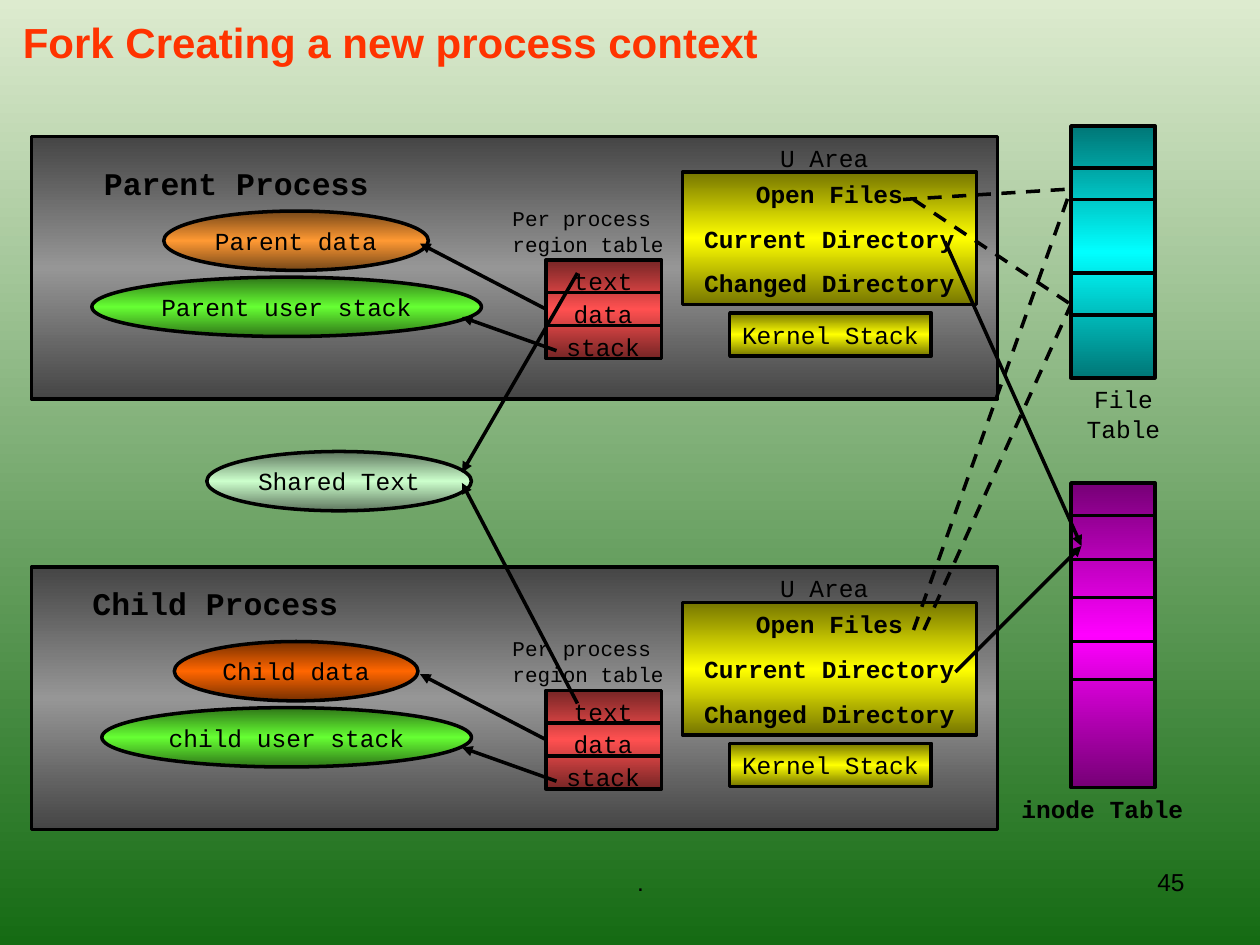
"""Build the slide on how fork creates a new process context."""
from copy import deepcopy

from pptx import Presentation
from pptx.dml.color import RGBColor as RGB
from pptx.enum.dml import MSO_LINE as DASH
from pptx.enum.shapes import MSO_CONNECTOR as CONN, MSO_SHAPE as SHAPE
from pptx.enum.text import MSO_ANCHOR as ANCHOR, PP_ALIGN as ALIGN
from pptx.oxml.ns import qn
from pptx.oxml.xmlchemy import OxmlElement
from pptx.util import Inches, Pt

COLORS = {
    "black": "000000", "title": "FF3300", "sky": "DDEBCF", "grass": "156B13",
    "panel": "969696", "region": "FF5050", "shared": "CCFFCC", "stack": "66FF33",
    "parent": "FF9933", "child": "FF6600", "yellow": "FFFF00",
    "files": "00FFFF", "inodes": "FF00FF",
}
RGBS = {name: RGB.from_string(value) for name, value in COLORS.items()}
CODE = {"name": "Courier New", "size": Pt(14), "bold": False}
BOLD = {**CODE, "bold": True}
SMALL = {**CODE, "size": Pt(12)}
HEAD = {**BOLD, "size": Pt(18)}
FOOT = {**CODE, "name": "Arial"}
TITLE = {"name": "Arial", "size": Pt(24), "bold": True}
SHADE = 0.463
ROW = 4.1

prs = Presentation()
prs.slide_width, prs.slide_height = Inches(10), Inches(7.5)
s = prs.slides.add_slide(prs.slide_layouts[6])
CELL = prs.slide_width / 120


def box(place, lines=(), fill=None, kind=SHAPE.RECTANGLE, font=CODE, color="black",
        align=ALIGN.CENTER, anchor=None, wrap=True, spacing=None):
    x, y, w, h = [round(v * CELL) for v in place]
    if fill:
        sp = s.shapes.add_shape(kind, x, y, w, h)
        sp.shadow.inherit = False
        sp.fill.gradient()
        sp.fill.gradient_angle = 270
        stops = sp._element.spPr.find(".//" + qn("a:gsLst"))
        stops.insert(1, deepcopy(stops[0]))
        mid = RGBS[fill]
        dark = RGB(*[round(c * SHADE) for c in mid])
        for stop, pos, rgb in zip(sp.fill.gradient_stops, (0, 0.5, 1), (dark, mid, dark)):
            stop.position, stop.color.rgb = pos, rgb
        sp.line.color.rgb, sp.line.width = RGBS["black"], Pt(2)
        anchor = ANCHOR.MIDDLE
    else:
        sp = s.shapes.add_textbox(x, y, w, h)
    tf = sp.text_frame
    tf.word_wrap = wrap
    if anchor is not None:
        tf.vertical_anchor = anchor
    for i, text in enumerate(lines):
        p = tf.add_paragraph() if i else tf.paragraphs[0]
        p.alignment = align
        if i:
            p.space_before = font["size"] * 5 // 8
        if spacing:
            p.line_spacing = spacing
        r = p.add_run()
        r.text = text
        r.font.color.rgb = RGBS[color]
        for key, value in font.items():
            setattr(r.font, key, value)
    return sp


def line(x1, y1, x2, y2, arrow=False, dash=False):
    c = s.shapes.add_connector(CONN.STRAIGHT, *[round(v * CELL) for v in (x1, y1, x2, y2)])
    c.line.color.rgb, c.line.width = RGBS["black"], Pt(2)
    if dash:
        c.line.dash_style = DASH.DASH
    if arrow:
        end = OxmlElement("a:tailEnd")
        end.set("type", "triangle")
        c.line._get_or_add_ln().append(end)
    c._element.spPr.append(OxmlElement("a:effectLst"))
    return c


bg = s.background.fill
bg.gradient()
bg.gradient_angle = 270
for stop, name in zip(bg.gradient_stops, ("sky", "grass")):
    stop.color.rgb = RGBS[name]

box((42, 82, 38, 6.2), ["."], font=FOOT)
box((86, 82, 28, 6.2), ["45"], font=FOOT, align=ALIGN.RIGHT)
box((1, -3, 102, 14), ["Fork Creating a new process context"], font=TITLE,
    color="title", align=ALIGN.LEFT, anchor=ANCHOR.MIDDLE)
box((19.7, 43, 25.2, 5.65), ["Shared Text"], "shared", SHAPE.OVAL, wrap=False)

processes = [
    (0, "parent", "Parent data", 25.2, "Parent user stack", 37.1),
    (41, "child", "Child data", 23.2, "child user stack", 35.2),
]
for top, color, data, data_w, stack, stack_w in processes:
    box((3, top + 13, 92, 25), fill="panel")
    region_y, step = top + 24.75, 3.13
    region = box((52, region_y, 11, 3 * step), fill="region")
    for i in range(4):
        line(52, region_y + i * step, 63, region_y + i * step)
    for i, label in enumerate(("text", "data", "stack")):
        box((52.5, region_y + i * step, 9.9, ROW), [label])
    box((37, top + 20, 38, 4.9), ["Per process ", "region table"], font=SMALL, spacing=0.5)
    for label, mid, w, y, fill in ((data, 28.2, data_w, 20.1, color),
                                   (stack, 27.3, stack_w, 26.4, "stack")):
        box((mid - w / 2, top + y, w, 5.65), [label], fill, SHAPE.OVAL, wrap=False)
    line(52, top + 29.4, 40, top + 23.2, arrow=True).begin_connect(region, 1)
    line(53, top + 33.4, 44, top + 30.2, arrow=True)
    box((65, top + 16.4, 28, 12.6),
        ["Open Files", "Current Directory", "Changed Directory"], "yellow", font=BOLD)
    box((68, top + 13, 21, ROW), ["U Area"])
    box((69.5, top + 29.8, 19.2, ROW), ["Kernel Stack"], "yellow", wrap=False)

tables = [
    (12, 24, "files", (16, 19, 26, 30)),
    (46, 29, "inodes", (49.1, 53.3, 56.9, 61.1, 64.7)),
]
for top, height, fill, rules in tables:
    box((102, top, 8, height), fill=fill)
    for y in rules:
        line(102, y, 110, y)
box((100, 36, 14, 6.9), ["File Table"])
box((90, 75, 30, ROW), ["inode Table"], font=BOLD)

for x1, y1, y2 in ((86, 19, 18), (87, 60, 18), (87, 19, 29), (88, 60, 29)):
    line(x1, y1, 102, y2, dash=True)
for ends in ((55, 26, 44, 45), (55, 67, 44, 46), (90, 23, 103, 52), (91, 64, 103, 52)):
    line(*ends, arrow=True)

box((5, 15, 35, 4.8), ["Parent Process"], font=HEAD)
box((4, 55, 33, 4.8), ["Child Process"], font=HEAD)

prs.save("out.pptx")
